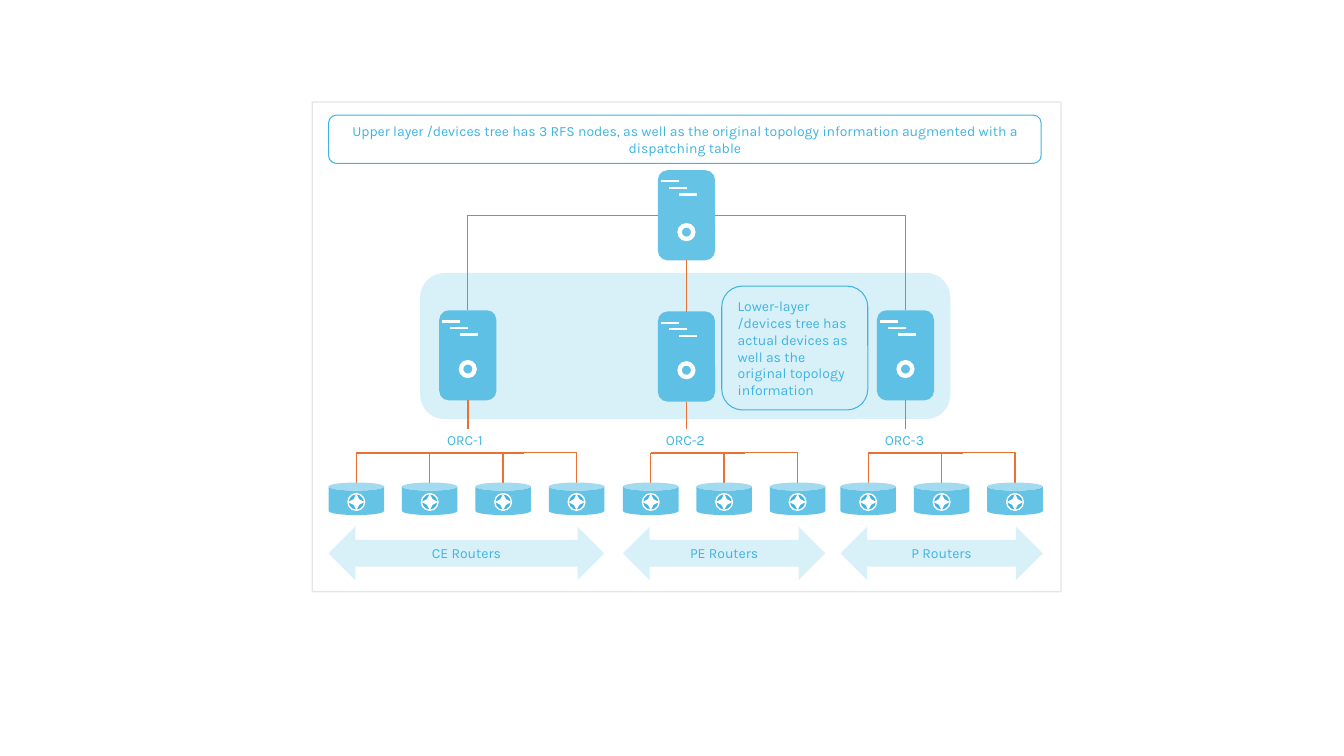
import pptx
import pptx.dml.color
import pptx.enum.shapes
import pptx.enum.text
import pptx.oxml
import pptx.oxml.ns
import pptx.util

Cm = pptx.util.Cm
Pt = pptx.util.Pt
RGBColor = pptx.dml.color.RGBColor
SHAPE = pptx.enum.shapes.MSO_SHAPE
CONNECTOR = pptx.enum.shapes.MSO_CONNECTOR
ALIGN = pptx.enum.text.PP_ALIGN
qn = pptx.oxml.ns.qn

BLUE = RGBColor(0x3F, 0xB4, 0xE0)
ORANGE = RGBColor(0xE9, 0x71, 0x32)
GRAY = RGBColor(0x80, 0x80, 0x80)
WHITE = RGBColor(0xFF, 0xFF, 0xFF)

FONT = "Karla"
SERVER_WIDTH, SERVER_HEIGHT = 1.44, 2.27
ROUTER_WIDTH, ROUTER_HEIGHT, ROUTER_STEP = 1.4, 0.82, 1.85
ROUTER_TOP = 12.16
BUS_TOP = 11.41
TRUNK_BOTTOM = 10.81


def add_xml(parent, tag, **attributes):
    child = pptx.oxml.parse_xml(f'<a:{tag} {pptx.oxml.ns.nsdecls("a")}/>')
    for name, value in attributes.items():
        child.set(name, value)
    parent.append(child)


def set_opacity(element, percent):
    color = next(element.iter(qn("a:srgbClr")))
    add_xml(color, "alpha", val=str(percent * 1000))


def add_shape(shapes, kind, left, top, width, height, fill=None, opacity=100,
              line=None, line_width=0, line_opacity=100):
    shape = shapes.add_shape(kind, Cm(left), Cm(top), Cm(width), Cm(height))
    shape.shadow.inherit = False
    if fill is None:
        shape.fill.background()
    else:
        shape.fill.solid()
        shape.fill.fore_color.rgb = fill
        if opacity < 100:
            set_opacity(shape._element.spPr.find(qn("a:solidFill")), opacity)
    if line is None:
        shape.line.fill.background()
    else:
        shape.line.color.rgb = line
        shape.line.width = Pt(line_width)
        if line_opacity < 100:
            set_opacity(shape._element.spPr.find(qn("a:ln")), line_opacity)
    return shape


def add_text(shape, text, alignment=ALIGN.LEFT):
    frame = shape.text_frame
    frame.word_wrap = True
    frame.vertical_anchor = pptx.enum.text.MSO_ANCHOR.MIDDLE
    paragraph = frame.paragraphs[0]
    paragraph.alignment = alignment
    run = paragraph.add_run()
    run.text = text
    run.font.name = FONT
    run.font.size = Pt(10)
    run.font.color.rgb = BLUE


def add_line(shapes, begin, end, color=ORANGE, width=1, elbow=False, arrows=False):
    kind = CONNECTOR.ELBOW if elbow else CONNECTOR.STRAIGHT
    connector = shapes.add_connector(kind, *map(Cm, begin + end))
    connector.line.color.rgb = color
    connector.line.width = Pt(width)
    properties = connector._element.spPr
    if elbow:
        properties.find(qn("a:prstGeom")).set("prst", "bentConnector2")
    if arrows:
        for tag in ("headEnd", "tailEnd"):
            add_xml(properties.find(qn("a:ln")), tag, type="triangle")
    add_xml(properties, "effectLst")
    return connector


def add_server(shapes, left, top, donut_drop=1.25):
    server = add_shape(shapes, SHAPE.ROUNDED_RECTANGLE, left, top,
                       SERVER_WIDTH, SERVER_HEIGHT, BLUE, 80)
    dashes = shapes.add_group_shape().shapes
    for across, down in ((0.08, 0.28), (0.28, 0.44), (0.53, 0.61)):
        x, y = left + across, top + down
        add_line(dashes, (x, y), (x + 0.45, y), WHITE, 1.5)
    add_shape(shapes, SHAPE.DONUT, left + 0.49, top + donut_drop, 0.46, 0.46, WHITE)
    return server


def add_router(shapes, left):
    add_shape(shapes, SHAPE.CAN, left, ROUTER_TOP, ROUTER_WIDTH, ROUTER_HEIGHT, BLUE, 80)
    icon = shapes.add_group_shape().shapes
    x, y, size = left + 0.49, ROUTER_TOP + 0.28, 0.42
    middle = size / 2
    add_shape(icon, SHAPE.OVAL, x, y, size, size, BLUE, line=WHITE, line_width=1)
    add_line(icon, (x + middle, y), (x + middle, y + size), WHITE, arrows=True)
    add_line(icon, (x, y + middle), (x + size, y + middle), WHITE, arrows=True)


def add_router_group(shapes, name, left, count):
    lefts = [left + i * ROUTER_STEP for i in range(count)]
    centers = [x + ROUTER_WIDTH / 2 for x in lefts]
    bus_end = (centers[-1] - 1.32, BUS_TOP)
    add_line(shapes, (centers[0], BUS_TOP), bus_end)
    for center in centers[:-1]:
        add_line(shapes, (center, BUS_TOP), (center, ROUTER_TOP))
    add_line(shapes, bus_end, (centers[-1], ROUTER_TOP), elbow=True)
    for router_left in lefts:
        add_router(shapes, router_left)
    arrow = add_shape(shapes, SHAPE.LEFT_RIGHT_ARROW, left, 13.27,
                      lefts[-1] + ROUTER_WIDTH - left, 1.35, BLUE, 20)
    add_text(arrow, name, ALIGN.CENTER)


def add_server_label(shapes, text, left):
    label = shapes.add_textbox(Cm(left), Cm(10.73), Cm(1.6), Cm(0.69))
    add_text(label, text)


def main():
    presentation = pptx.Presentation()
    presentation.slide_width = Cm(33.87)
    presentation.slide_height = Cm(19.05)
    slide = presentation.slides.add_slide(presentation.slide_layouts[6])
    shapes = slide.shapes

    add_shape(shapes, SHAPE.ROUNDED_RECTANGLE, 10.59, 6.88, 13.36, 3.68, BLUE, 20)
    add_shape(shapes, SHAPE.RECTANGLE, 7.87, 2.57, 18.87, 12.34,
              line=GRAY, line_width=1, line_opacity=20)

    upper_left, upper_top = 16.58, 4.29
    upper_server = add_server(shapes, upper_left, upper_top, 1.33)
    upper_middle = upper_top + SERVER_HEIGHT / 2
    upper_center = upper_left + SERVER_WIDTH / 2

    lower_places = ((11.07, 7.82), (16.58, 7.85), (22.1, 7.82))
    for number, (left, top) in enumerate(lower_places, 1):
        server = add_server(shapes, left, top)
        center = left + SERVER_WIDTH / 2
        if center == upper_center:
            link = add_line(shapes, (center, upper_top + SERVER_HEIGHT), (center, top))
            link.begin_connect(upper_server, 2)
            link.end_connect(server, 0)
        else:
            side = upper_left if center < upper_center else upper_left + SERVER_WIDTH
            add_line(shapes, (side, upper_middle), (center, top), elbow=True)
        trunk = add_line(shapes, (center, top + SERVER_HEIGHT), (center, TRUNK_BOTTOM))
        trunk.begin_connect(server, 2)
        add_server_label(shapes, f"ORC-{number}", left - 0.05)

    for name, left, count in (("CE Routers", 8.28, 4), ("PE Routers", 15.7, 3),
                              ("P Routers", 21.18, 3)):
        add_router_group(shapes, name, left, count)

    note = add_shape(shapes, SHAPE.ROUNDED_RECTANGLE, 18.19, 7.21, 3.68, 3.12, line=BLUE)
    add_text(note, "Lower-layer /devices tree has actual devices as well as "
                   "the original topology information")
    banner = add_shape(shapes, SHAPE.ROUNDED_RECTANGLE, 8.28, 2.9, 17.96, 1.22, line=BLUE)
    add_text(banner, "Upper layer /devices tree has 3 RFS nodes, as well as the original "
                     "topology information augmented with a dispatching table", ALIGN.CENTER)

    presentation.save("out.pptx")


if __name__ == "__main__":
    main()
